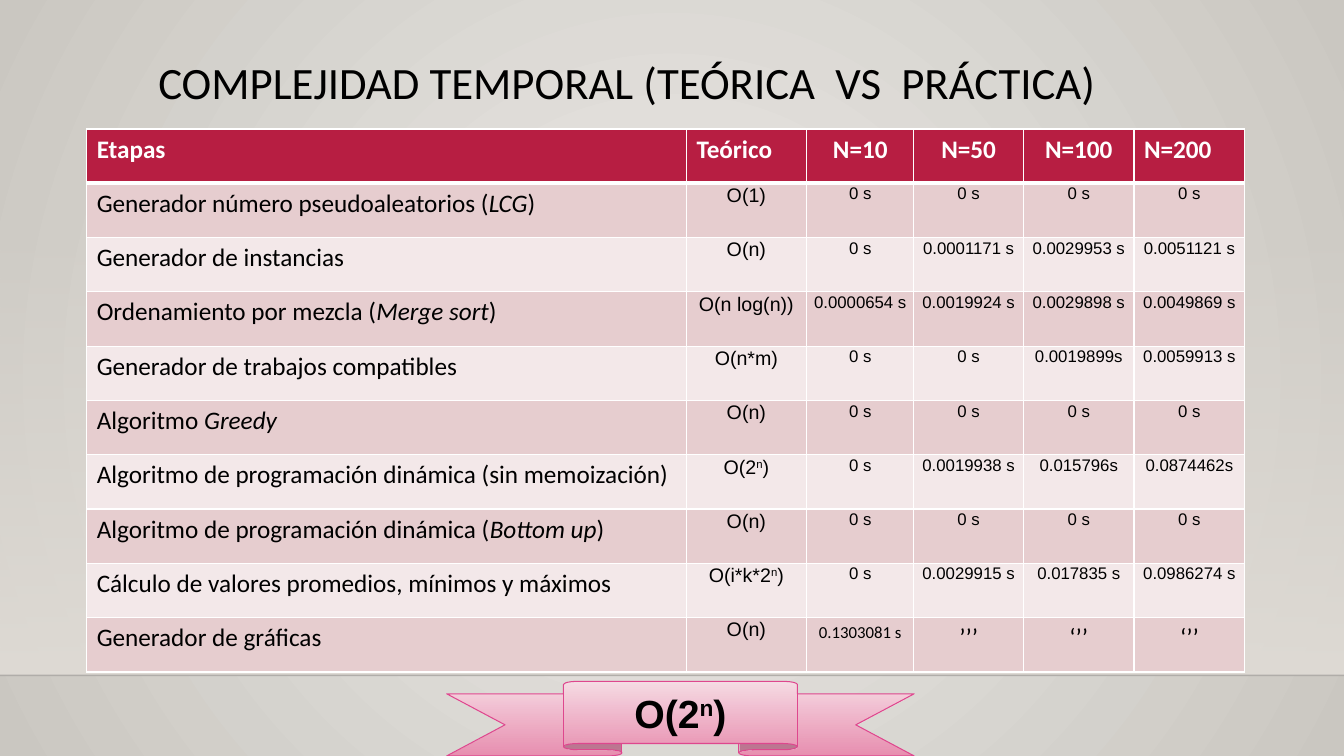
from lxml import etree
from pptx import Presentation
from pptx.dml.color import RGBColor
from pptx.enum.shapes import MSO_CONNECTOR, MSO_SHAPE
from pptx.enum.text import MSO_ANCHOR, PP_ALIGN
from pptx.oxml import parse_xml
from pptx.oxml.ns import nsdecls, qn
from pptx.util import Pt

LEFT, CENTER = PP_ALIGN.LEFT, PP_ALIGN.CENTER
TOP, MIDDLE = MSO_ANCHOR.TOP, MSO_ANCHOR.MIDDLE

# Text between bars is italic in stage names and superscript in formulas.
TITLE = "COMPLEJIDAD TEMPORAL (TEÓRICA  VS  PRÁCTICA)"
RESULT = "O(2|n|)"
HEADERS = ["Etapas", "Teórico", "N=10", "N=50", "N=100", "N=200"]
STAGES = [
    ("Generador número pseudoaleatorios (|LCG|)", "O(1)", "0 s", "0 s", "0 s", "0 s"),
    ("Generador de instancias", "O(n)", "0 s", "0.0001171 s", "0.0029953 s", "0.0051121 s"),
    ("Ordenamiento por mezcla (|Merge sort|)", "O(n log(n))",
     "0.0000654 s", "0.0019924 s", "0.0029898 s", "0.0049869 s"),
    ("Generador de trabajos compatibles", "O(n*m)", "0 s", "0 s", "0.0019899s", "0.0059913 s"),
    ("Algoritmo |Greedy|", "O(n)", "0 s", "0 s", "0 s", "0 s"),
    ("Algoritmo de programación dinámica (sin memoización)", "O(2|n|)",
     "0 s", "0.0019938 s", "0.015796s", "0.0874462s"),
    ("Algoritmo de programación dinámica (|Bottom up|)", "O(n)", "0 s", "0 s", "0 s", "0 s"),
    ("Cálculo de valores promedios, mínimos y máximos", "O(i*k*2|n|)",
     "0 s", "0.0029915 s", "0.017835 s", "0.0986274 s"),
    ("Generador de gráficas", "O(n)", "0.1303081 s", "’’’", "‘’’", "‘’’"),
]
ROWS = [HEADERS] + STAGES
COL_WIDTHS = [428.4, 85.7, 77, 79.2, 79.2, 79.2]
# Left edge and columns of each table
TABLES = [(61.92, [0, 1, 2]), (652.32, [3]), (731, [4]), (810, [5])]
TABLE_TOP, ROW_H = 92.16, 38.8
WIDTH, HEIGHT, FLOOR_Y = 960, 540, 482.4
BLACK, WHITE, RED = "000000", "FFFFFF", "B71E42"
BANDS = ["E6CDCF", "F3E8E9"]


def rgb(value):
    return RGBColor.from_string(value)


def set_gradient(parent, stops, direction):
    """Replace the solid fill in parent by a gradient of (position, colour, opacity)."""
    gs = "".join(
        f'<a:gs pos="{pos * 1000}"><a:srgbClr val="{color}">'
        f'<a:alpha val="{alpha * 1000}"/></a:srgbClr></a:gs>'
        for pos, color, alpha in stops)
    gradient = parse_xml(f'<a:gradFill {nsdecls("a")} rotWithShape="1">'
                         f'<a:gsLst>{gs}</a:gsLst>{direction}</a:gradFill>')
    parent.replace(parent.find(qn("a:solidFill")), gradient)


def write(p, text, size, font, color=BLACK, bold=False, align=CENTER, italic_marks=False):
    p.alignment = align
    for i, part in enumerate(text.split("|")):
        r = p.add_run()
        r.text = part
        f = r.font
        f.size, f.name, f.bold = Pt(size), font, bold
        f.color.rgb = rgb(color)
        if i % 2 and italic_marks:
            f.italic = True
        elif i % 2:
            f._element.set("baseline", "30000")


def set_borders(cell, top, bottom):
    tc_pr = cell._tc.get_or_add_tcPr()
    sides = [("L", 1), ("R", 1), ("T", top), ("B", bottom)]
    for i, (side, width) in enumerate(sides):
        tc_pr.insert(i, parse_xml(
            f'<a:ln{side} {nsdecls("a")} w="{Pt(width)}"><a:solidFill>'
            f'<a:srgbClr val="{WHITE}"/></a:solidFill></a:ln{side}>'))


def fill_cell(cell, row, col):
    text = ROWS[row][col]
    p = cell.text_frame.paragraphs[0]
    cell.vertical_anchor = TOP
    cell.fill.solid()
    cell.fill.fore_color.rgb = rgb(RED if row == 0 else BANDS[(row - 1) % 2])
    set_borders(cell, 3 if row == 1 else 1, 3 if row == 0 else 1)
    if row == 0:
        write(p, text, 18, "Calibri", WHITE, True, CENTER if col in (2, 3, 4) else LEFT)
    elif col == 0:
        write(p, text, 18, "Calibri", align=LEFT, italic_marks=True)
    elif row == len(STAGES) and col > 1:
        write(p, text, 12 if col == 2 else 18, "Calibri")
    else:
        cell.margin_left = cell.margin_right = Pt(5)
        cell.margin_top = cell.margin_bottom = 0
        p.line_spacing = 1.07
        write(p, text, 14 if col == 1 else 12, "Arial")


def add_results_table(s, left, cols):
    width = sum(COL_WIDTHS[c] for c in cols)
    table = s.shapes.add_table(len(ROWS), len(cols), Pt(left), Pt(TABLE_TOP),
                               Pt(width), Pt(ROW_H * len(ROWS))).table
    for i, col in enumerate(cols):
        table.columns[i].width = Pt(COL_WIDTHS[col])
        for row in range(len(ROWS)):
            fill_cell(table.cell(row, i), row, col)


def add_backdrop(s):
    s.background.fill.solid()
    set_gradient(s.element.find(".//" + qn("p:bgPr")),
                 [(0, "ECEAE7", 100), (100, "CAC7C1", 100)],
                 '<a:path path="circle"><a:fillToRect l="50000" t="50000" '
                 'r="50000" b="50000"/></a:path>')
    wall = s.shapes.add_shape(MSO_SHAPE.RECTANGLE, 0, Pt(159), Pt(WIDTH), Pt(FLOOR_Y - 159))
    wall.shadow.inherit = False
    wall.line.fill.background()
    wall.fill.solid()
    set_gradient(wall._element.spPr, [(0, "DFDBD5", 0), (100, "DFDBD5", 100)],
                 '<a:lin ang="5400000" scaled="0"/>')
    floor = s.shapes.add_connector(MSO_CONNECTOR.STRAIGHT, 0, Pt(FLOOR_Y), Pt(WIDTH), Pt(FLOOR_Y))
    floor.line.width = Pt(1)
    floor.line.color.rgb = rgb("000001")
    sp_pr = floor._element.spPr
    color = sp_pr.find(".//" + qn("a:srgbClr"))
    etree.SubElement(color, qn("a:alpha")).set("val", "20000")
    etree.SubElement(sp_pr, qn("a:effectLst"))


def add_title(s):
    title = s.shapes.title
    title.left, title.top, title.width, title.height = Pt(105.84), Pt(39.6), Pt(770.4), Pt(82.8)
    tf = title.text_frame
    tf.word_wrap = True
    tf.vertical_anchor = TOP
    p = tf.paragraphs[0]
    p.line_spacing = 0.9
    write(p, TITLE, 32, "Calibri", align=LEFT)


def add_result_ribbon(s):
    ribbon = s.shapes.add_shape(MSO_SHAPE.UP_RIBBON, Pt(319), Pt(486.7), Pt(334), Pt(53.3))
    ribbon.shadow.inherit = False
    ribbon.line.width = Pt(0.75)
    ribbon.line.color.rgb = rgb("DE478E")
    ribbon.fill.solid()
    set_gradient(ribbon._element.spPr, [(0, "F7DCE5", 100), (100, "EA8AAE", 92)],
                 '<a:lin ang="5400000" scaled="0"/>')
    tf = ribbon.text_frame
    tf.vertical_anchor = MIDDLE
    write(tf.paragraphs[0], RESULT, 28, "Arial", bold=True)


def main():
    prs = Presentation()
    prs.slide_width, prs.slide_height = Pt(WIDTH), Pt(HEIGHT)
    s = prs.slides.add_slide(prs.slide_layouts[5])
    add_backdrop(s)
    add_title(s)
    for left, cols in TABLES:
        add_results_table(s, left, cols)
    add_result_ribbon(s)
    prs.save("out.pptx")


if __name__ == "__main__":
    main()
